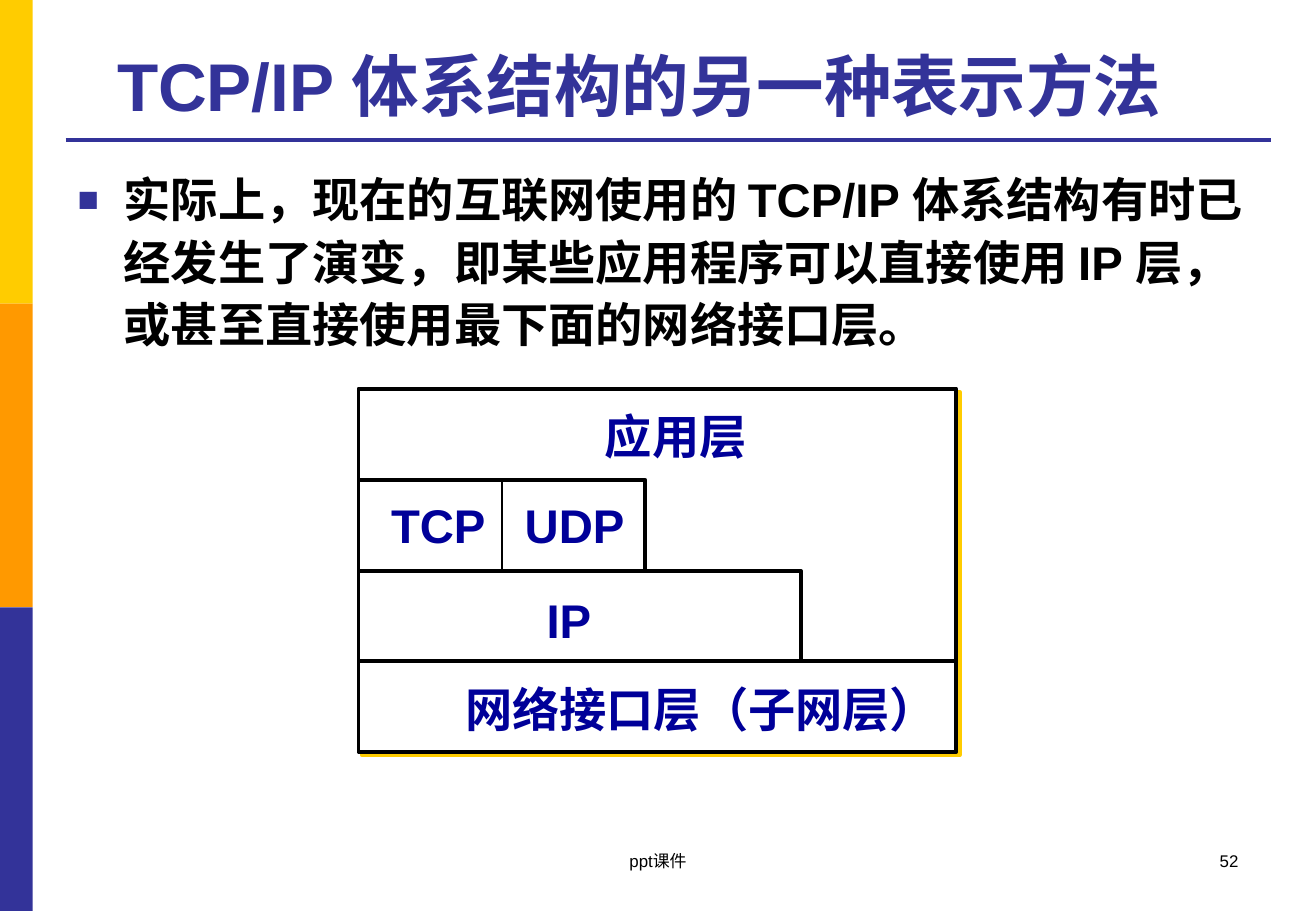
from dataclasses import dataclass

from lxml.etree import SubElement
from pptx import Presentation
from pptx.dml.color import RGBColor
from pptx.enum.shapes import MSO_CONNECTOR as Connector, MSO_SHAPE as Shape
from pptx.enum.text import MSO_ANCHOR as Anchor, PP_ALIGN as Align
from pptx.oxml.ns import qn
from pptx.util import Emu, Pt

PX = 9144  # EMU per px, 100 px to the inch


@dataclass(frozen=True)
class Theme:
    font: str = "Arial"
    yellow: str = "FFCC00"
    orange: str = "FF9900"
    indigo: str = "333399"
    navy: str = "000099"
    black: str = "000000"
    white: str = "FFFFFF"
    title: int = 40
    body: int = 28
    footer: int = 10
    thick: float = 2.25
    thin: float = 1.5


def px(*lengths):
    return [Emu(n * PX) for n in lengths]


def add_tag(parent, name, **attrs):
    return SubElement(parent, qn(name), attrs)


class Deck:
    def __init__(self, theme, width, height):
        self.theme = theme
        self.prs = Presentation()
        self.prs.slide_width, self.prs.slide_height = px(width, height)
        self.s = self.prs.slides.add_slide(self.prs.slide_layouts[6])

    def outline(self, line, color, width):
        line.color.rgb = RGBColor.from_string(color)
        line.width = Pt(width)

    def rect(self, box, fill, line=None, shadow=None):
        sp = self.s.shapes.add_shape(Shape.RECTANGLE, *px(*box))
        sp.shadow.inherit = False
        sp.fill.solid()
        sp.fill.fore_color.rgb = RGBColor.from_string(fill)
        if line:
            self.outline(sp.line, line, self.theme.thick)
        else:
            sp.line.fill.background()
        if shadow:
            effects = sp._element.spPr.find(qn("a:effectLst"))
            outer = add_tag(effects, "a:outerShdw", dist=str(Pt(2.8)),
                            dir="2700000", algn="ctr", rotWithShape="0")
            add_tag(outer, "a:srgbClr", val=shadow)

    def line(self, start, end, color, width):
        cx = self.s.shapes.add_connector(Connector.STRAIGHT, *px(*start, *end))
        self.outline(cx.line, color, width)
        add_tag(cx._element.spPr, "a:effectLst")

    def step(self, left, top, right, bottom):
        """Draw the open top and right edges of a layer."""
        start, *rest = [px(*pt) for pt in ((left, top), (right, top), (right, bottom))]
        builder = self.s.shapes.build_freeform(*start)
        builder.add_line_segments(rest, close=False)
        sp = builder.convert_to_shape()
        sp.shadow.inherit = False
        sp.fill.background()
        self.outline(sp.line, self.theme.black, self.theme.thick)

    def text(self, box, text, size, color, bold=True, anchor=Anchor.TOP,
             bullet=None, **paragraph):
        tf = self.s.shapes.add_textbox(*px(*box)).text_frame
        tf.word_wrap = True
        tf.vertical_anchor = anchor
        p = tf.paragraphs[0]
        for name, value in paragraph.items():
            setattr(p, name, value)
        if bullet:
            self.bullet(p, bullet)
        r = p.add_run()
        r.text = text
        look = {"name": self.theme.font, "size": Pt(size), "bold": bold}
        for name, value in look.items():
            setattr(r.font, name, value)
        r.font.color.rgb = RGBColor.from_string(color)

    def bullet(self, p, char, indent=38):
        pPr = p._p.get_or_add_pPr()
        pPr.set("marL", str(indent * PX))
        pPr.set("indent", str(-indent * PX))
        add_tag(add_tag(pPr, "a:buClr"), "a:srgbClr", val=self.theme.indigo)
        add_tag(pPr, "a:buSzPct", val="75000")
        add_tag(pPr, "a:buFont", typeface=self.theme.font)
        add_tag(pPr, "a:buChar", char=char)


def main():
    t = Theme()
    deck = Deck(t, 1083, 750)

    for i, color in enumerate((t.yellow, t.orange, t.indigo)):
        deck.rect((0, i * 250, 27, 250), color)
    deck.line((54, 115), (1046, 115), t.indigo, t.thick)

    deck.text((54, 21, 944, 87), "TCP/IP 体系结构的另一种表示方法", t.title, t.indigo,
              anchor=Anchor.BOTTOM, alignment=Align.CENTER)
    deck.text((54, 131, 991, 540),
              "实际上，现在的互联网使用的 TCP/IP 体系结构有时已经发生了演变，"
              "即某些应用程序可以直接使用 IP 层，或甚至直接使用最下面的网络接口层。",
              t.body, t.black, bullet="■", line_spacing=1.1)

    left, top, width, height = stack = (295, 320, 492, 299)
    transport, internet, link = [top + round(height * i / 4) for i in (1, 2, 3)]
    transport_right, internet_right = 531, 659
    middle = (left + transport_right) // 2
    deck.rect(stack, t.white, t.black, shadow=t.yellow)
    deck.line((left, link), (left + width, link), t.black, t.thick)
    deck.step(left, internet, internet_right, link)
    deck.step(left, transport, transport_right, internet)
    deck.line((middle, transport), (middle, internet), t.black, t.thin)

    labels = (
        ("TCP", 312, 404, 104),
        ("UDP", 422, 404, 104),
        ("IP", 440, 482, 62),
        ("应用层", 488, 330, 151),
        ("网络接口层（子网层）", 373, 555, 453),
    )
    for label, x, y, w in labels:
        deck.text((x, y, w, 57), label, t.body, t.navy)

    deck.text((776, 695, 253, 50), "52", t.footer, t.black, bold=False,
              alignment=Align.RIGHT)
    deck.text((370, 695, 343, 50), "ppt课件", t.footer, t.black, bold=False,
              alignment=Align.CENTER)
    deck.prs.save("out.pptx")


if __name__ == "__main__":
    main()
